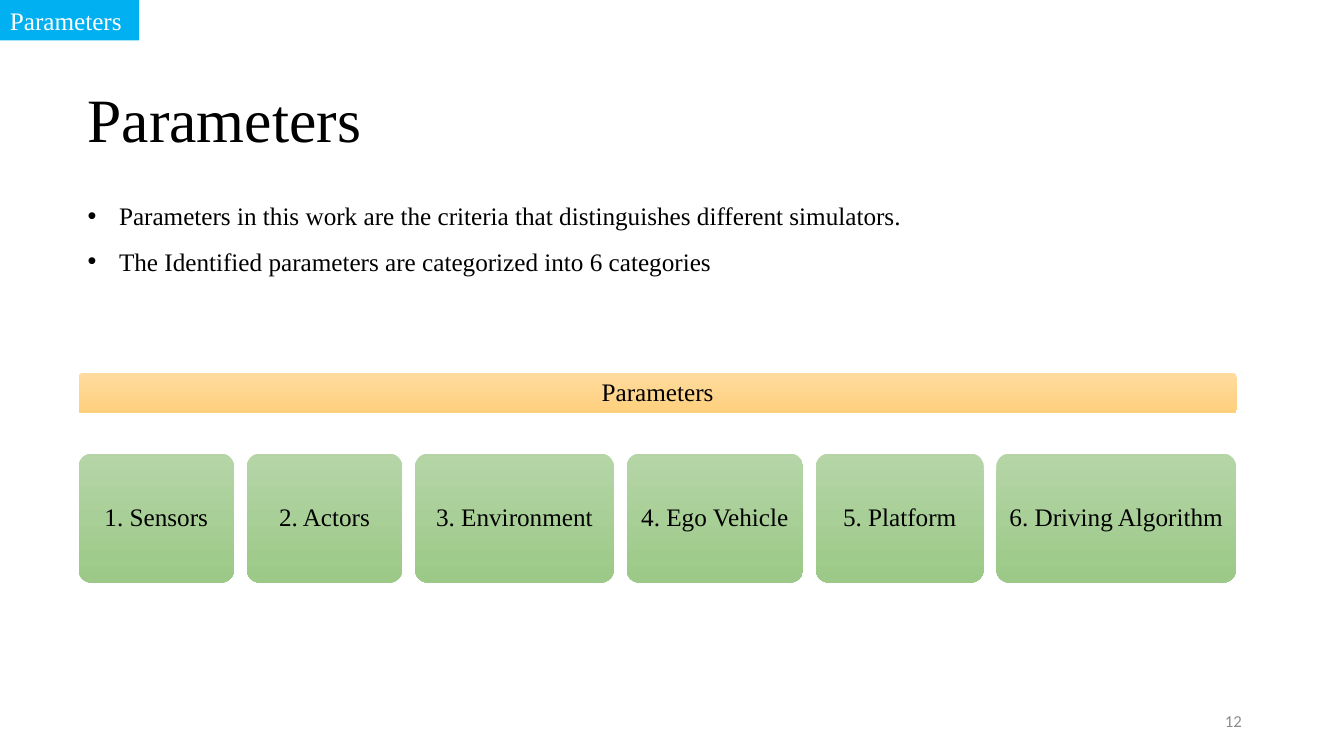
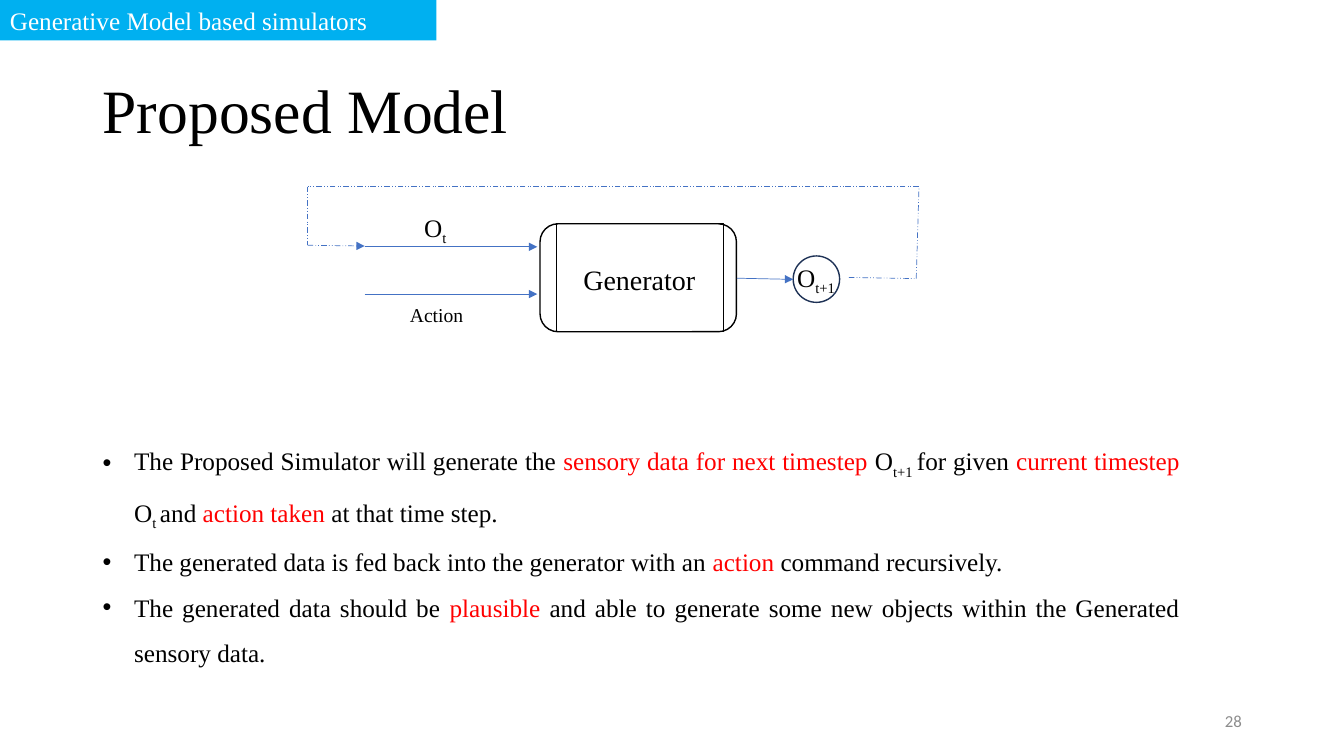
from dataclasses import dataclass

from lxml.etree import SubElement
from pptx import Presentation
from pptx.dml.color import RGBColor
from pptx.enum.dml import MSO_LINE
from pptx.enum.shapes import MSO_CONNECTOR, MSO_SHAPE
from pptx.enum.text import MSO_ANCHOR, PP_ALIGN
from pptx.oxml.ns import qn
from pptx.util import Cm, Pt


@dataclass(frozen=True)
class Theme:
    serif: str = "Times New Roman"
    sans: str = "Calibri"
    black: str = "000000"
    white: str = "FFFFFF"
    red: str = "FF0000"
    grey: str = "8C8C8C"
    band: str = "00B0F0"
    arrow: str = "4472C4"
    ring: str = "1E3256"
    orange: tuple = ("FFDB9E", "FFD07C")
    green: tuple = ("B5D5A7", "9CC987")
    title: int = 44
    large: int = 20
    body: int = 18
    small: int = 14
    footer: int = 12


T = Theme()


def add_box(s, box, paragraphs=(), kind=None, fill=None, line=None, size=T.body,
            color=T.black, font=T.serif, align=PP_ALIGN.LEFT, anchor=MSO_ANCHOR.TOP,
            wrap=True, inset=None, spacing=None, bullet=False):
    place = [Cm(v) for v in box]
    if kind is None:
        sp = s.shapes.add_textbox(*place)
    else:
        sp = s.shapes.add_shape(kind, *place)
        sp.shadow.inherit = False
        if isinstance(fill, tuple):
            sp.fill.gradient()
            sp.fill.gradient_angle = 270
            for stop, stop_color in zip(sp.fill.gradient_stops, fill):
                stop.color.rgb = RGBColor.from_string(stop_color)
        elif fill:
            sp.fill.solid()
            sp.fill.fore_color.rgb = RGBColor.from_string(fill)
        else:
            sp.fill.background()
        if line:
            sp.line.color.rgb = RGBColor.from_string(line)
            sp.line.width = Pt(1)
        else:
            sp.line.fill.background()
    tf = sp.text_frame
    tf.word_wrap = wrap
    tf.vertical_anchor = anchor
    if inset is not None:
        tf.margin_left = tf.margin_right = tf.margin_top = tf.margin_bottom = Cm(inset)
    for i, runs in enumerate(paragraphs):
        p = tf.add_paragraph() if i else tf.paragraphs[0]
        if bullet:
            pPr = p._p.get_or_add_pPr()
            pPr.set("marL", str(Cm(0.79)))
            pPr.set("indent", str(-Cm(0.79)))
            SubElement(pPr, qn("a:buFont")).set("typeface", "Arial")
            SubElement(pPr, qn("a:buChar")).set("char", "•")
        p.alignment = align
        if spacing:
            p.line_spacing = spacing
        for run in [runs] if isinstance(runs, str) else runs:
            text, mark = (run, None) if isinstance(run, str) else run
            r = p.add_run()
            r.text = text
            r.font.name = font
            r.font.size = Pt(size)
            r.font.color.rgb = RGBColor.from_string(T.red if mark == "red" else color)
            if mark == "sub":
                r._r.get_or_add_rPr().set("baseline", "-25000")
    return sp


def add_line(s, start, end, dash=None, arrow=False):
    cx = s.shapes.add_connector(MSO_CONNECTOR.STRAIGHT, *[Cm(v) for v in start + end])
    cx.line.color.rgb = RGBColor.from_string(T.arrow)
    cx.line.width = Pt(0.5)
    if dash:
        cx.line.dash_style = dash
    spPr = cx._element.spPr
    if arrow:
        SubElement(spPr.find(qn("a:ln")), qn("a:tailEnd")).set("type", "triangle")
    SubElement(spPr, qn("a:effectLst"))


prs = Presentation()
prs.slide_width, prs.slide_height = Cm(33.87), Cm(19.05)

slides = []
for title, left, top, section, band_width, number in [
    ("Parameters", 1.96, 1.24, "Parameters", 3.51, "12"),
    ("Proposed Model", 2.34, 1.02, "Generative Model based simulators", 11, "28"),
]:
    s = prs.slides.add_slide(prs.slide_layouts[6])
    add_box(s, (left, top, 29.21, 3.68), [title], size=T.title,
            anchor=MSO_ANCHOR.MIDDLE, spacing=0.9)
    add_box(s, (0, 0, band_width, 1.02), [section], kind=MSO_SHAPE.RECTANGLE,
            fill=T.band, color=T.white)
    add_box(s, (23.93, 17.65, 7.62, 1.02), [number], size=T.footer, color=T.grey,
            font=T.sans, align=PP_ALIGN.RIGHT, anchor=MSO_ANCHOR.MIDDLE)
    slides.append(s)
parameters, model = slides

intro = add_box(parameters, (1.96, 4.93, 21.39, 2.03), [
    "Parameters in this work are the criteria that distinguishes different simulators.",
    "The Identified parameters are categorized into 6 categories",
], bullet=True, spacing=1.5)
intro.text_frame.paragraphs[0].line_spacing = 1.0

grid_left, gap = 1.98, 0.32
categories = [("1. Sensors", 3.92), ("2. Actors", 3.92), ("3. Environment", 5.01),
              ("4. Ego Vehicle", 4.45), ("5. Platform", 4.23), ("6. Driving Algorithm", 6.04)]
cards = [("Parameters", (grid_left, 9.4, 29.19, 1.02), T.orange)]
x = grid_left
for name, width in categories:
    cards.append((name, (x, 11.43, width, 3.25), T.green))
    x += width + gap
for name, box, fill in cards:
    card = add_box(parameters, box, [name], kind=MSO_SHAPE.ROUNDED_RECTANGLE, fill=fill,
                   align=PP_ALIGN.CENTER, anchor=MSO_ANCHOR.MIDDLE, inset=0.18, spacing=0.9)
    card.adjustments[0] = 0.1

for kind, box, line in [
    (MSO_SHAPE.ROUNDED_RECTANGLE, (13.61, 5.64, 4.95, 2.72), T.black),
    (MSO_SHAPE.RECTANGLE, (14.02, 5.64, 4.22, 2.72), T.black),
    (MSO_SHAPE.OVAL, (19.99, 6.45, 1.17, 1.17), T.ring),
]:
    add_box(model, box, kind=kind, line=line)

for label, box, size in [
    ("Action", (10.08, 7.52, 1.88, 0.86), T.small),
    (["O", ("t", "sub")], (10.44, 5.23, 1.12, 1.02), T.body),
    ("Generator", (14.45, 6.48, 3.48, 1.12), T.large),
    (["O", ("t+1", "sub")], (19.84, 6.48, 1.55, 1.02), T.body),
]:
    add_box(model, box, [label], size=size, wrap=False)

for start, end in [((9.19, 6.22), (13.54, 6.22)), ((9.19, 7.41), (13.54, 7.41)),
                   ((18.57, 7.01), (19.99, 7.04))]:
    add_line(model, start, end, arrow=True)

feedback = [(21.39, 6.99), (23.09, 7.02), (23.16, 4.7), (7.75, 4.7), (7.75, 6.18), (9.19, 6.2)]
for start, end in zip(feedback, feedback[1:]):
    add_line(model, start, end, dash=MSO_LINE.DASH_DOT_DOT, arrow=end == feedback[-1])

add_box(model, (2.34, 10.67, 27.64, 6.81), [
    ["The Proposed Simulator will generate the ", ("sensory data for next timestep ", "red"),
     "O", ("t+1 ", "sub"), "for given ", ("current timestep ", "red"), "O", ("t ", "sub"),
     "and ", ("action taken ", "red"), "at that time step."],
    ["The generated data is fed back into the generator with an ", ("action", "red"),
     " command recursively."],
    ["The generated data should be ", ("plausible", "red"),
     " and able to generate some new objects within the Generated sensory data."],
], align=PP_ALIGN.JUSTIFY, spacing=1.5, bullet=True)

prs.save("out.pptx")
